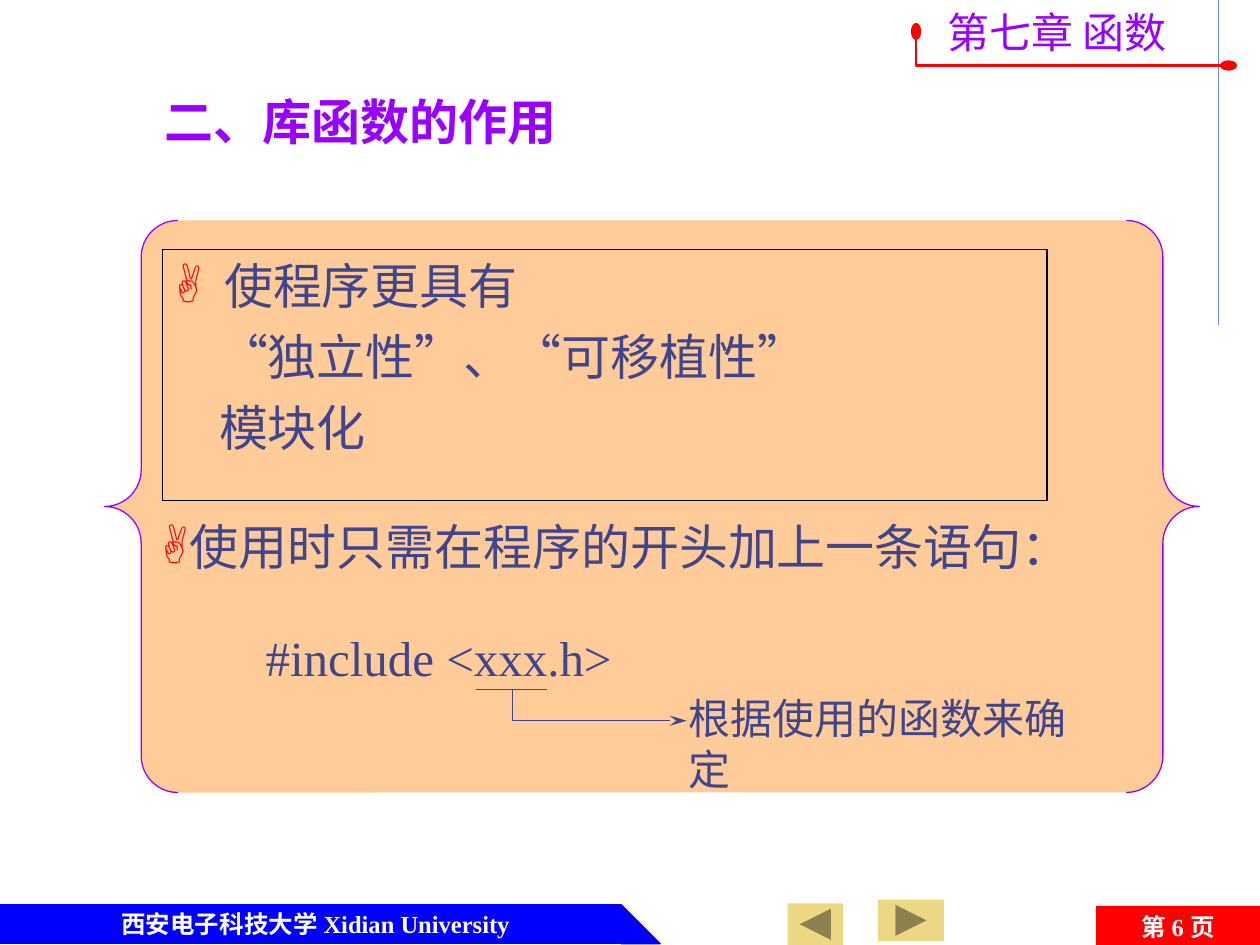
from lxml import etree
from pptx import Presentation
from pptx.dml.color import RGBColor
from pptx.enum.shapes import MSO_CONNECTOR, MSO_SHAPE
from pptx.enum.text import MSO_ANCHOR, PP_ALIGN
from pptx.oxml.ns import qn
from pptx.util import Inches, Pt

TRIANGLE = MSO_SHAPE.RIGHT_TRIANGLE
RECTANGLE = MSO_SHAPE.RECTANGLE
BRACES = MSO_SHAPE.DOUBLE_BRACE
NEXT_BUTTON = MSO_SHAPE.ACTION_BUTTON_FORWARD_OR_NEXT
STRAIGHT = MSO_CONNECTOR.STRAIGHT
TOP, MIDDLE = MSO_ANCHOR.TOP, MSO_ANCHOR.MIDDLE
LEFT, CENTER = PP_ALIGN.LEFT, PP_ALIGN.CENTER

WHITE = RGBColor(0xFF, 0xFF, 0xFF)
BLACK = RGBColor(0x00, 0x00, 0x00)
RED = RGBColor(0xFF, 0x00, 0x00)
BLUE = RGBColor(0x00, 0x00, 0xFF)
PALE_BLUE = RGBColor(0x6F, 0x89, 0xF7)
PURPLE = RGBColor(0x99, 0x00, 0xFF)
INDIGO = RGBColor(0x40, 0x45, 0x8C)
PEACH = RGBColor(0xFF, 0xCC, 0x99)
SAND = RGBColor(0xEC, 0xD8, 0x82)

CHINESE = "Noto Sans CJK SC"
LATIN = "Times New Roman"
BODY = {"size": Pt(28), "color": INDIGO}
NOTE = {"size": Pt(24), "color": INDIGO}
HEADER = {"size": Pt(24), "color": PURPLE}
TITLE = {"size": Pt(28), "color": PURPLE, "bold": True}
FOOTER = {"size": Pt(14), "color": WHITE, "bold": True}


def paint(shape, fill=None, line=None, width=0.75):
    shape.shadow.inherit = False
    if fill is None:
        shape.fill.background()
    else:
        shape.fill.solid()
        shape.fill.fore_color.rgb = fill
    if line is None:
        shape.line.fill.background()
    else:
        shape.line.color.rgb = line
        shape.line.width = Pt(width)


def add_box(slide, kind, box, fill=None, line=None):
    shape = slide.shapes.add_shape(kind, *map(Inches, box))
    paint(shape, fill, line)
    return shape


def add_line(slide, start, end, color):
    line = slide.shapes.add_connector(STRAIGHT, *map(Inches, start + end))
    line.line.color.rgb = color
    line.line.width = Pt(0.75)
    etree.SubElement(line._element.spPr, qn("a:effectLst"))


def add_elbow(slide, points, color, width, **arrowheads):
    """Draw an open bent line; arrowheads maps headEnd and tailEnd to a type."""
    corners = [tuple(map(Inches, point)) for point in points]
    builder = slide.shapes.build_freeform(*corners[0], scale=1.0)
    builder.add_line_segments(corners[1:], close=False)
    shape = builder.convert_to_shape()
    paint(shape, None, color, width)
    outline = shape.line._get_or_add_ln()
    for end in ("headEnd", "tailEnd"):
        if end in arrowheads:
            etree.SubElement(outline, qn(f"a:{end}"), type=arrowheads[end], w="med", len="lg")


def indent(paragraph, margin, bullet=False):
    properties = paragraph._p.get_or_add_pPr()
    properties.set("marL", str(Inches(margin)))
    properties.set("indent", str(-Inches(margin) if bullet else 0))
    if bullet:
        color = etree.SubElement(properties, qn("a:buClr"))
        etree.SubElement(color, qn("a:srgbClr"), val=str(RED))
        etree.SubElement(properties, qn("a:buFont"), typeface=LATIN)
        etree.SubElement(properties, qn("a:buChar"), char="✌")


def add_run(paragraph, text, style, latin):
    run = paragraph.add_run()
    run.text = text
    for name, value in style.items():
        if name == "color":
            run.font.color.rgb = value
        else:
            setattr(run.font, name, value)
    run.font.name = latin
    etree.SubElement(run._r.get_or_add_rPr(), qn("a:ea"), typeface=CHINESE)


def write(shape, lines, style, align=LEFT, anchor=TOP):
    """Each line is (runs, margin, bullet); each run is (text, font)."""
    frame = shape.text_frame
    frame.word_wrap = True
    frame.vertical_anchor = anchor
    for index, (runs, margin, bullet) in enumerate(lines):
        paragraph = frame.add_paragraph() if index else frame.paragraphs[0]
        paragraph.alignment = align
        if index:
            paragraph.space_before = Pt(7)
        indent(paragraph, margin, bullet)
        for text, font in runs:
            add_run(paragraph, text, style, font)


def add_label(slide, box, text, style, font=CHINESE, margin=0, bullet=False, **layout):
    shape = slide.shapes.add_textbox(*map(Inches, box))
    write(shape, [([(text, font)], margin, bullet)], style, **layout)


def add_header(slide, left, top, width):
    add_line(slide, (9.67, 0), (9.67, 2.58), PALE_BLUE)
    add_label(slide, (left + 0.15, top, 2.2, 0.5), "第七章 函数", HEADER)
    right, base = left + width, top + 0.52
    add_elbow(slide, [(left, top + 0.25), (left, base), (right, base)], RED, 1.5,
              headEnd="oval", tailEnd="oval")


def add_footer(slide, top):
    # University banner with its slanted end
    add_box(slide, RECTANGLE, (0, top, 4.92, 0.31), BLUE, BLUE)
    add_box(slide, TRIANGLE, (4.93, top, 0.31, 0.31), BLUE, BLUE)
    add_label(slide, (0.29, top, 4.43, 0.31), "西安电子科技大学 Xidian University",
              FOOTER, LATIN, align=CENTER, anchor=MIDDLE)

    # Navigation buttons
    add_box(slide, NEXT_BUTTON, (6.97, top - 0.04, 0.52, 0.33), SAND)
    back_button = add_box(slide, NEXT_BUTTON, (6.25, top - 0.01, 0.44, 0.33), SAND)
    back_button.rotation = 180

    # Page number
    page = add_box(slide, RECTANGLE, (8.7, top + 0.01, 1.3, 0.33), RED)
    runs = [("第 ", CHINESE), ("6 ", LATIN), ("页", CHINESE)]
    write(page, [(runs, 0, False)], FOOTER, CENTER, MIDDLE)


def add_purpose_box(slide, box):
    frame = add_box(slide, RECTANGLE, box, line=BLACK)
    quotes = [("“", LATIN), ("独立性", CHINESE), ("”", LATIN), ("、", CHINESE),
              ("“", LATIN), ("可移植性", CHINESE), ("”", LATIN)]
    write(frame, [
        ([("使程序更具有", CHINESE)], 0.39, True),
        (quotes, 0.35, False),
        ([("模块化", CHINESE)], 0.35, False),
    ], BODY)


def add_include_example(slide, left, top):
    add_label(slide, (left, top, 5.88, 0.57), "#include <xxx.h>", BODY, LATIN)

    # Underline of the header name, and the arrow to its explanation
    base = top + 0.54
    add_line(slide, (left + 1.77, base), (left + 2.33, base), INDIGO)
    stem, elbow = left + 2.06, base + 0.25
    add_elbow(slide, [(stem, base), (stem, elbow), (left + 3.44, elbow)], INDIGO, 0.75,
              tailEnd="stealth")
    add_label(slide, (left + 3.36, top + 0.52, 3.2, 0.9), "根据使用的函数来确定", NOTE, LATIN)


def add_content(slide, box):
    left, top = box[:2]
    braces = add_box(slide, BRACES, box, PEACH, PURPLE)
    braces.adjustments[0] = 0.064
    add_purpose_box(slide, (left + 0.46, top + 0.23, 7.02, 1.99))
    add_label(slide, (left + 0.35, top + 2.3, 8.12, 0.57),
              "使用时只需在程序的开头加上一条语句：", BODY, margin=0.21, bullet=True)
    add_include_example(slide, left + 1.18, top + 3.18)


def main():
    presentation = Presentation()
    presentation.slide_width = Inches(10)
    presentation.slide_height = Inches(7.5)
    slide = presentation.slides.add_slide(presentation.slide_layouts[6])
    add_header(slide, 7.27, 0, 2.48)
    add_footer(slide, 7.18)
    add_label(slide, (1.21, 0.68, 4.7, 0.57), "二、库函数的作用", TITLE)
    add_content(slide, (0.83, 1.75, 8.69, 4.54))
    presentation.save("out.pptx")


if __name__ == "__main__":
    main()
